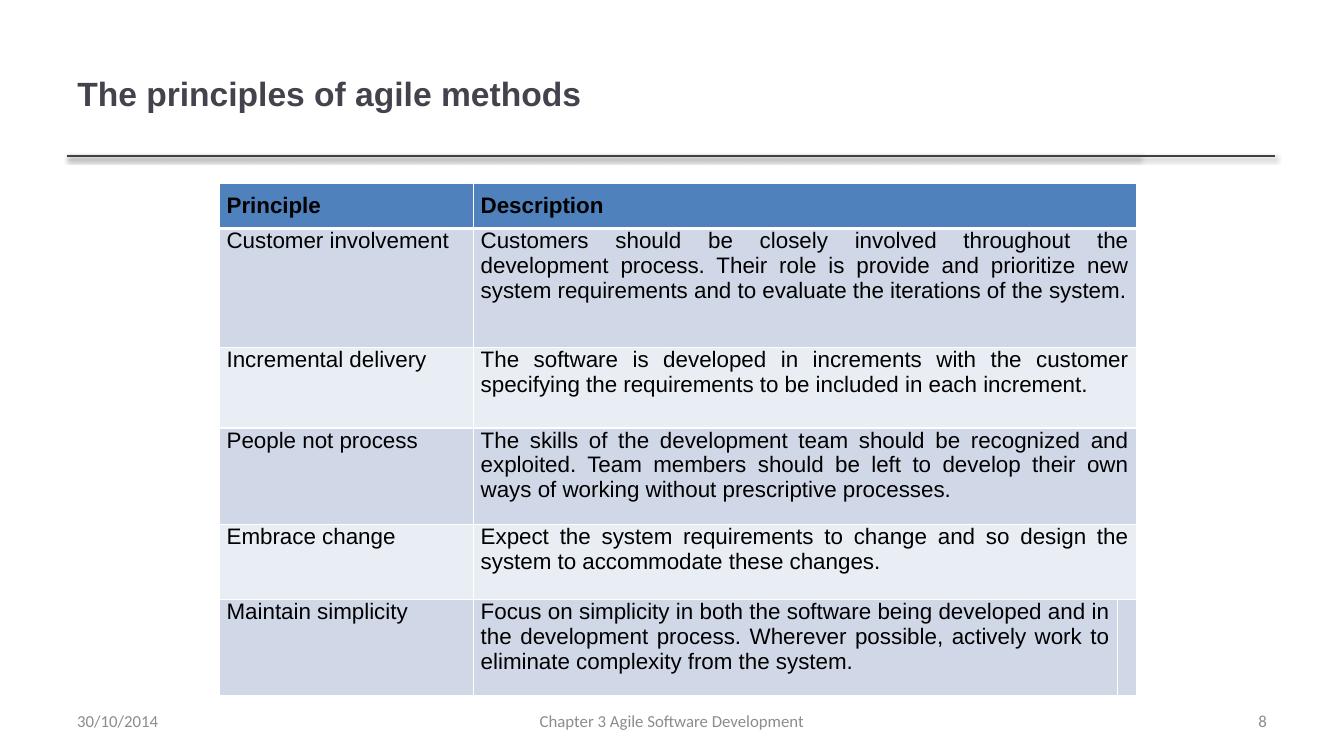
from lxml.etree import SubElement as Sub
from pptx import Presentation
from pptx.dml.color import RGBColor
from pptx.enum.shapes import MSO_CONNECTOR as Conn
from pptx.enum.text import MSO_ANCHOR as Anchor, PP_ALIGN as Align
from pptx.oxml.ns import qn
from pptx.util import Pt

GREY, DARK, BLACK, WHITE = "8C8C8C", "404040", "000000", "FFFFFF"
HEAD, BANDS = "4F81BD", ("D0D8E8", "E9EDF4")
COLS = (181.5, 460, 10)
TALL = (32, 85, 57.5, 69, 53.5, 69)
ROWS = (
    ("Principle", "Description"),
    ("Customer involvement",
     "Customers should be closely involved throughout the development process. "
     "Their role is provide and prioritize new system requirements and to "
     "evaluate the iterations of the system."),
    ("Incremental delivery",
     "The software is developed in increments with the customer specifying "
     "the requirements to be included in each increment."),
    ("People not process",
     "The skills of the development team should be recognized and exploited. "
     "Team members should be left to develop their own ways of working "
     "without prescriptive processes."),
    ("Embrace change",
     "Expect the system requirements to change and so design the system to "
     "accommodate these changes."),
    ("Maintain simplicity",
     "Focus on simplicity in both the software being developed and in the "
     "development process. Wherever possible, actively work to eliminate "
     "complexity from the system."),
)


def color(code):
    return RGBColor.from_string(code)


def write(frame, text, size, font, code, align=Align.LEFT, bold=False):
    para = frame.paragraphs[0]
    para.alignment = align
    run = para.add_run()
    run.text = text
    run.font.size, run.font.name, run.font.bold = Pt(size), font, bold
    run.font.color.rgb = color(code)


def add_title(slide, text):
    title = slide.shapes.title
    title.left, title.top, title.width, title.height = Pt(48), Pt(21.5), Pt(765.5), Pt(90)
    title.text_frame.vertical_anchor = Anchor.MIDDLE
    write(title.text_frame, text, 24, "Arial", "46424D", bold=True)


def add_rule(slide, end):
    """Draw a shadowed line under the title, as far as end."""
    line = slide.shapes.add_connector(Conn.STRAIGHT, Pt(48), Pt(111.5), Pt(end), Pt(111.5))
    line.line.color.rgb = color(DARK)
    line.line.width = Pt(2)
    effects = Sub(line._element.spPr, qn("a:effectLst"))
    shade = Sub(effects, qn("a:outerShdw"), blurRad=str(Pt(3.1)),
                dist=str(Pt(1.6)), dir="5400000", rotWithShape="0")
    tint = Sub(shade, qn("a:srgbClr"), val=BLACK)
    Sub(tint, qn("a:alpha"), val="38000")


def add_note(slide, left, width, text, align):
    """Put one item in the footer row."""
    box = slide.shapes.add_textbox(Pt(left), Pt(500.5), Pt(width), Pt(28.5))
    box.text_frame.word_wrap = True
    box.text_frame.vertical_anchor = Anchor.MIDDLE
    write(box.text_frame, text, 12, "Calibri", GREY, align)


def style_cell(cell, row):
    """Set borders, fill and margins by row; borders must come before the fill."""
    props = cell._tc.get_or_add_tcPr()
    thick = {"T": 3 if row == 1 else 1, "B": 3 if row == 0 else 1}
    for side in "LRTB":
        edge = Sub(props, qn(f"a:ln{side}"), w=str(Pt(thick.get(side, 1))))
        Sub(Sub(edge, qn("a:solidFill")), qn("a:srgbClr"), val=WHITE)
    cell.fill.solid()
    cell.fill.fore_color.rgb = color(BANDS[(row - 1) % 2] if row else HEAD)
    cell.margin_left = cell.margin_right = Pt(5.4)
    cell.margin_top = Pt(0 if row else 7.2)
    cell.margin_bottom = Pt(7.2)


def add_grid(slide):
    frame = slide.shapes.add_table(len(ROWS), len(COLS), Pt(156.5), Pt(131),
                                   Pt(sum(COLS)), Pt(sum(TALL)))
    table = frame.table
    for col, width in zip(table.columns, COLS):
        col.width = Pt(width)
    for row, tall in zip(table.rows, TALL):
        row.height = Pt(tall)
    last = len(ROWS) - 1
    for r, texts in enumerate(ROWS):
        for c in range(len(COLS)):
            style_cell(table.cell(r, c), r)
        if r < last:
            table.cell(r, 1).merge(table.cell(r, 2))
        for c, text in enumerate(texts):
            write(table.cell(r, c).text_frame, text, 16, "Arial", BLACK,
                  Align.JUSTIFY, bold=r == 0)


def main():
    deck = Presentation()
    deck.slide_width, deck.slide_height = Pt(960), Pt(540)
    slide = deck.slides.add_slide(deck.slide_layouts[5])
    for end in (815, 911):
        add_rule(slide, end)
    add_title(slide, "The principles of agile methods")
    add_grid(slide)
    add_note(slide, 48, 224, "30/10/2014", Align.LEFT)
    add_note(slide, 328, 304, "Chapter 3 Agile Software Development", Align.CENTER)
    add_note(slide, 688, 224, "8", Align.RIGHT)
    deck.save("out.pptx")


if __name__ == "__main__":
    main()
